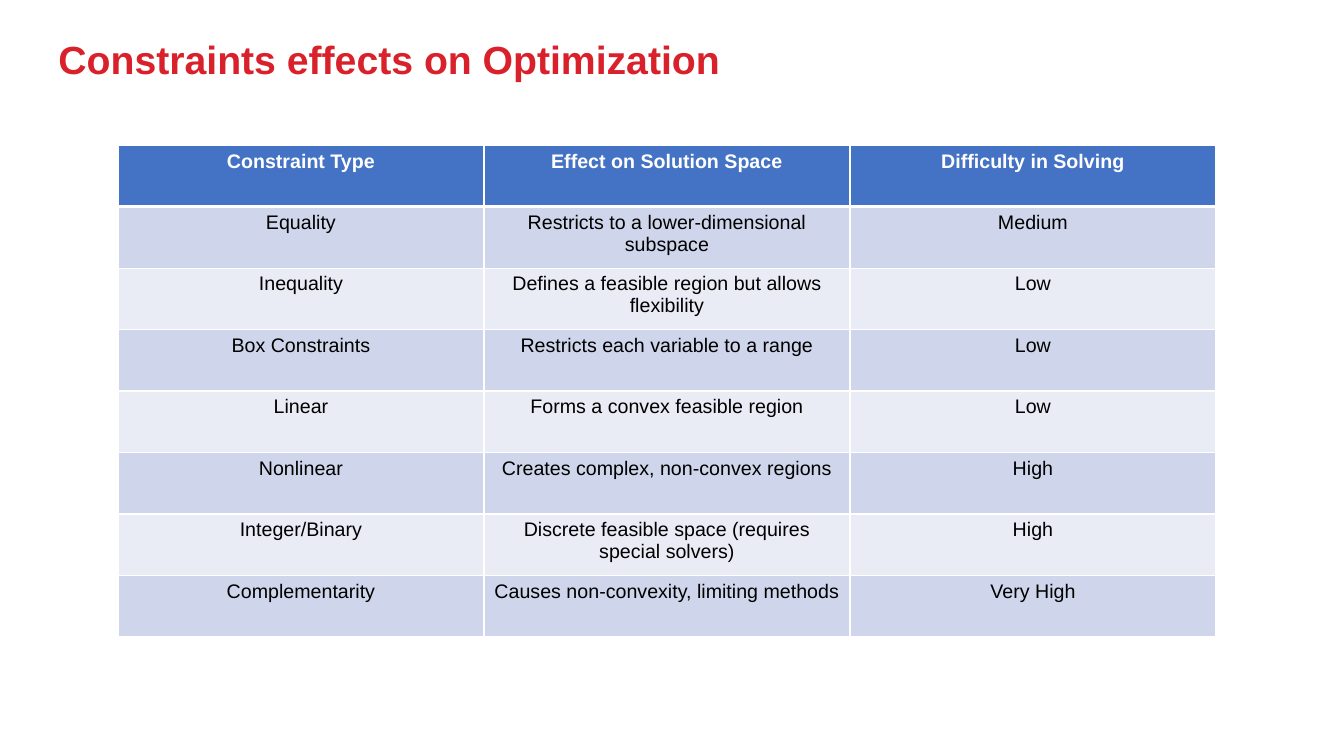
"""Build the slide that compares constraint types in optimization."""
from dataclasses import dataclass

from lxml import etree
from pptx import Presentation, util as u
from pptx.dml.color import RGBColor
from pptx.enum import text
from pptx.oxml.ns import qn


@dataclass(frozen=True)
class Theme:
    font: str = "Arial"
    title_size: int = 28
    table_size: int = 14
    title: str = "D9212B"
    header: str = "4472C4"
    bands: tuple[str, str] = ("CFD5EA", "E9EBF5")
    light: str = "FFFFFF"
    dark: str = "000000"
    thin: float = 1
    thick: float = 3


@dataclass(frozen=True)
class Constraint:
    kind: str
    effect: str
    difficulty: str


THEME = Theme()
HEADER = Constraint("Constraint Type", "Effect on Solution Space", "Difficulty in Solving")
CONSTRAINTS = [
    Constraint("Equality", "Restricts to a lower-dimensional subspace", "Medium"),
    Constraint("Inequality", "Defines a feasible region but allows flexibility", "Low"),
    Constraint("Box Constraints", "Restricts each variable to a range", "Low"),
    Constraint("Linear", "Forms a convex feasible region", "Low"),
    Constraint("Nonlinear", "Creates complex, non-convex regions", "High"),
    Constraint("Integer/Binary", "Discrete feasible space (requires special solvers)", "High"),
    Constraint("Complementarity", "Causes non-convexity, limiting methods", "Very High"),
]
COLUMN_WIDTH = 3.63
ROW_HEIGHT = 0.61


def apply(target, values: dict) -> None:
    for name, value in values.items():
        setattr(target, name, value)


def write(frame, content: str, size: int, color: str, bold: bool, para_format: dict) -> None:
    para = frame.paragraphs[0]
    apply(para, para_format)
    span = para.add_run()
    span.text = content
    apply(span.font, {"name": THEME.font, "size": u.Pt(size), "bold": bold})
    span.font.color.rgb = RGBColor.from_string(color)


def set_borders(cell, widths: dict[str, float]) -> None:
    properties = cell._tc.get_or_add_tcPr()
    for position, (side, width) in enumerate(widths.items()):
        line = etree.Element(qn(f"a:ln{side}"), w=str(u.Pt(width)))
        fill = etree.SubElement(line, qn("a:solidFill"))
        etree.SubElement(fill, qn("a:srgbClr"), val=THEME.light)
        properties.insert(position, line)


def add_title(slide, content: str) -> None:
    title = slide.shapes.title
    apply(title, {"left": u.Inches(0.48), "top": u.Inches(0.24),
                  "width": u.Inches(11.5), "height": u.Inches(0.75)})
    apply(title.text_frame, {"vertical_anchor": text.MSO_ANCHOR.MIDDLE, "word_wrap": True,
                             "auto_size": text.MSO_AUTO_SIZE.NONE})
    write(title.text_frame, content, THEME.title_size, THEME.title, True,
          {"alignment": text.PP_ALIGN.LEFT, "line_spacing": 0.9})


def add_constraint_table(slide, rows: list[Constraint]) -> None:
    table = slide.shapes.add_table(
        len(rows), 3, u.Inches(1.17), u.Inches(1.44),
        u.Inches(3 * COLUMN_WIDTH), u.Inches(len(rows) * ROW_HEIGHT)).table
    for column in table.columns:
        column.width = u.Inches(COLUMN_WIDTH)
    for index, constraint in enumerate(rows):
        table.rows[index].height = u.Inches(ROW_HEIGHT)
        is_header = index == 0
        fill = THEME.header if is_header else THEME.bands[(index - 1) % 2]
        color = THEME.light if is_header else THEME.dark
        top = THEME.thick if index == 1 else THEME.thin
        bottom = THEME.thick if is_header else THEME.thin
        values = (constraint.kind, constraint.effect, constraint.difficulty)
        for cell, content in zip(table.rows[index].cells, values):
            cell.fill.solid()
            cell.fill.fore_color.rgb = RGBColor.from_string(fill)
            set_borders(cell, {"L": THEME.thin, "R": THEME.thin, "T": top, "B": bottom})
            write(cell.text_frame, content, THEME.table_size, color, is_header,
                  {"alignment": text.PP_ALIGN.CENTER})


def main() -> None:
    deck = Presentation()
    apply(deck, {"slide_width": u.Inches(13.33), "slide_height": u.Inches(7.5)})
    page = deck.slides.add_slide(deck.slide_layouts.get_by_name("Title Only"))
    add_title(page, "Constraints effects on Optimization")
    add_constraint_table(page, [HEADER, *CONSTRAINTS])
    deck.save("out.pptx")


if __name__ == "__main__":
    main()
